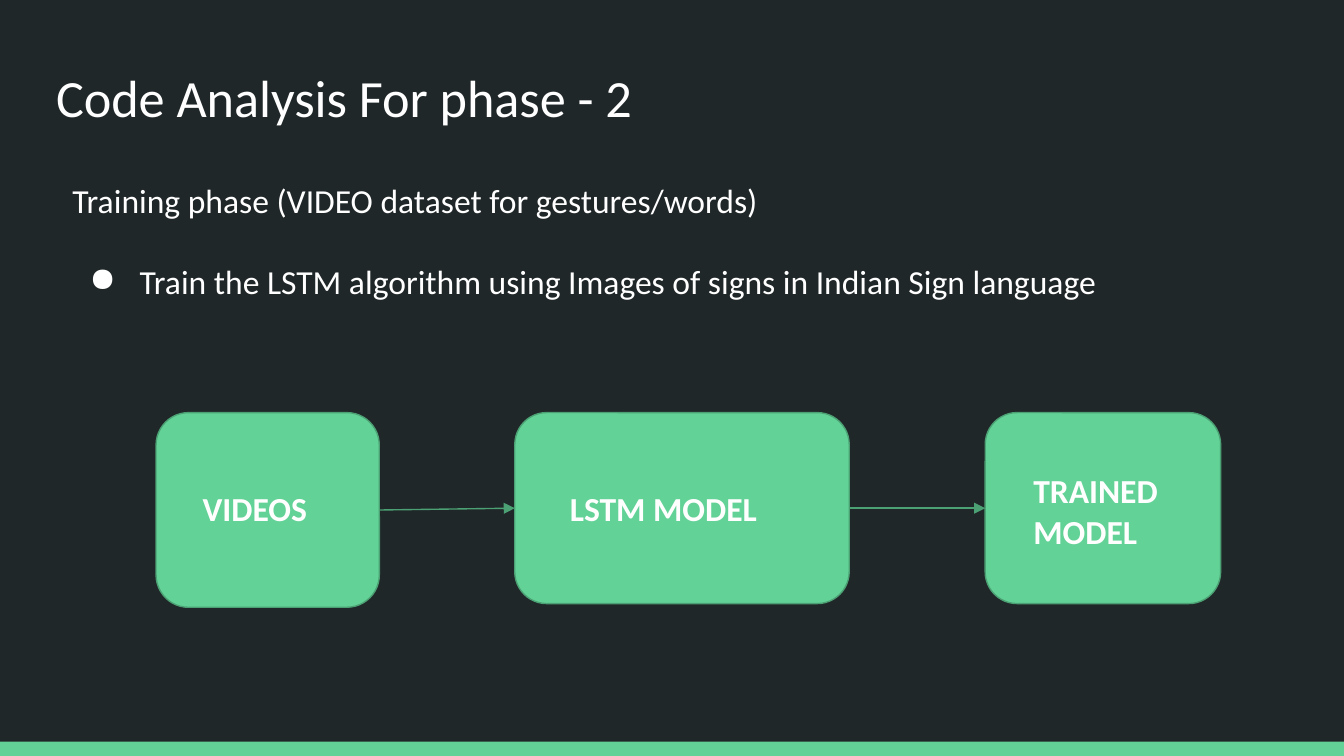
"""Build the slide on training a sign language model from videos."""
import pptx
import pptx.dml.color
import pptx.enum.shapes
import pptx.oxml
import pptx.oxml.ns
import pptx.util

Cm, Pt = pptx.util.Cm, pptx.util.Pt
RGB = pptx.dml.color.RGBColor
KIND = pptx.enum.shapes.MSO_SHAPE
LINK = pptx.enum.shapes.MSO_CONNECTOR

DARK = RGB(0x20, 0x27, 0x29)
GREEN = RGB(0x63, 0xD2, 0x97)
EDGE = RGB(0x4B, 0xA1, 0x73)
WHITE = RGB(0xFF, 0xFF, 0xFF)


def node(tag, **attrs):
    item = pptx.oxml.parse_xml(f"<a:{tag} {pptx.oxml.ns.nsdecls('a')}/>")
    for name, value in attrs.items():
        item.set(name, str(value))
    return item


class Deck:
    def __init__(self, wide, high):
        self.file = pptx.Presentation()
        self.file.slide_width, self.file.slide_height = Cm(wide), Cm(high)
        self.slide = self.file.slides.add_slide(self.file.slide_layouts[6])
        self.slide.background.fill.solid()
        self.slide.background.fill.fore_color.rgb = DARK
        self.font = "Calibri"

    def shape(self, kind, area, edge=None):
        item = self.slide.shapes.add_shape(kind, *map(Cm, area))
        item.shadow.inherit = False
        item.fill.solid()
        item.fill.fore_color.rgb = GREEN
        if edge is None:
            item.line.fill.background()
        else:
            item.line.color.rgb = edge
            item.line.width = Pt(0.75)
        return item

    def text(self, words, area, size=18, bold=False):
        frame = self.slide.shapes.add_textbox(*map(Cm, area)).text_frame
        frame.word_wrap = True
        frame.margin_left = frame.margin_right = Cm(0.25)
        frame.margin_top = frame.margin_bottom = Cm(0.25)
        frame.text = words
        for para in frame.paragraphs:
            for run in para.runs:
                run.font.name, run.font.size = self.font, Pt(size)
                run.font.bold = bold
                run.font.color.rgb = WHITE
        return frame

    def bullet(self, para, gap):
        para.space_before = Pt(gap)
        props = para._p.get_or_add_pPr()
        props.set("marL", str(Cm(1.27)))
        props.set("indent", str(Cm(-0.95)))
        props.append(node("buChar", char="●"))

    def arrow(self, start, end):
        line = self.slide.shapes.add_connector(LINK.STRAIGHT, 0, 0, 0, 0)
        line.begin_connect(start, 3)
        line.end_connect(end, 1)
        line.line.color.rgb = EDGE
        line.line.width = Pt(0.75)
        line.line._get_or_add_ln().append(node("tailEnd", type="triangle"))
        line._element.spPr.append(node("effectLst"))


def main():
    deck = Deck(25.4, 14.29)
    deck.shape(KIND.RECTANGLE, (0, 14.02, 25.4, 0.27))
    deck.text("Code Analysis For phase - 2", (0.81, 0.99, 22.43, 1.7), 28)
    body = deck.text(
        "Training phase (VIDEO dataset for gestures/words)\n"
        "Train the LSTM algorithm using Images of signs in Indian Sign language",
        (1.12, 3.15, 23.42, 2.82))
    deck.bullet(body.paragraphs[1], 22)

    steps = [
        ("VIDEOS", (2.95, 7.8, 4.22, 3.68), (3.58, 8.97, 2.9, 1.27)),
        ("LSTM MODEL", (9.73, 7.8, 6.32, 3.61), (10.52, 8.97, 5.54, 1.27)),
        ("TRAINED MODEL", (18.62, 7.8, 4.45, 3.61), (19.28, 8.64, 4.04, 2.06)),
    ]
    boxes = [deck.shape(KIND.ROUNDED_RECTANGLE, area, EDGE)
             for _, area, _ in steps]
    for start, end in zip(boxes, boxes[1:]):
        deck.arrow(start, end)
    for words, _, area in steps:
        deck.text(words, area, bold=True)
    deck.file.save("out.pptx")


if __name__ == "__main__":
    main()
